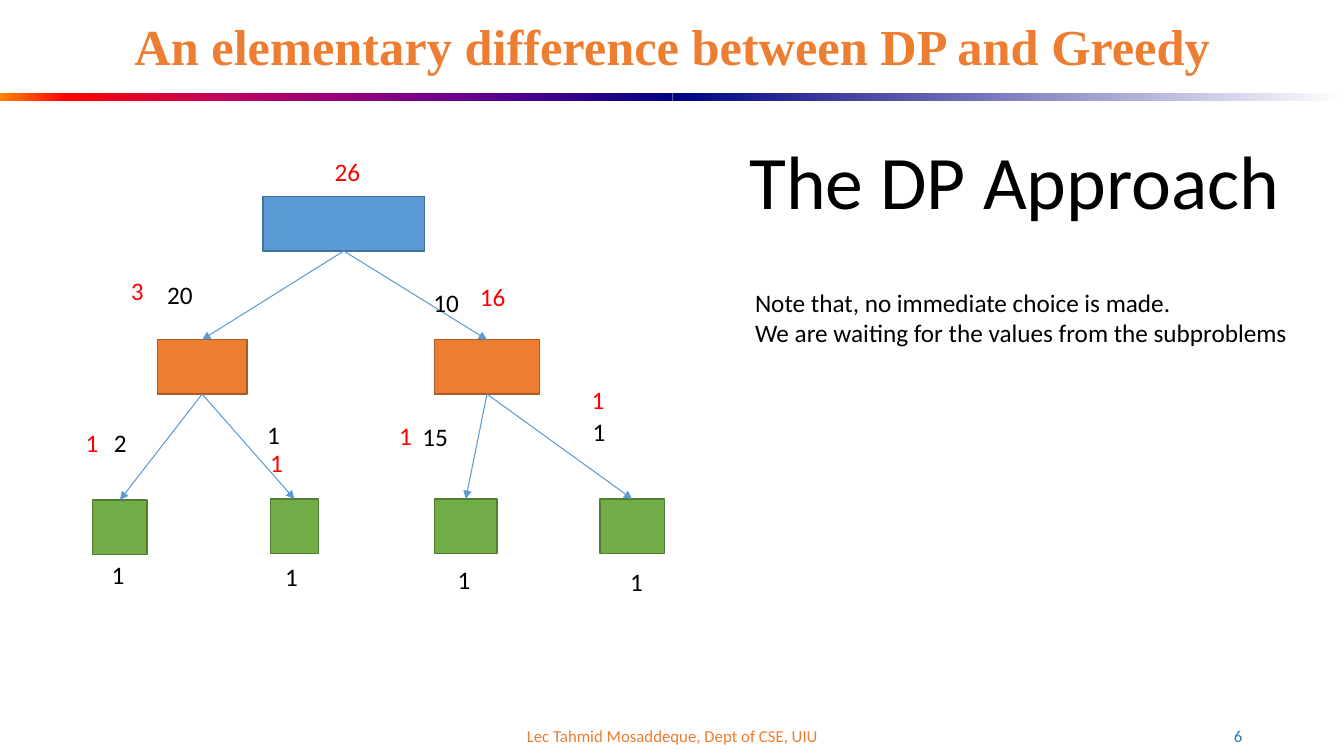
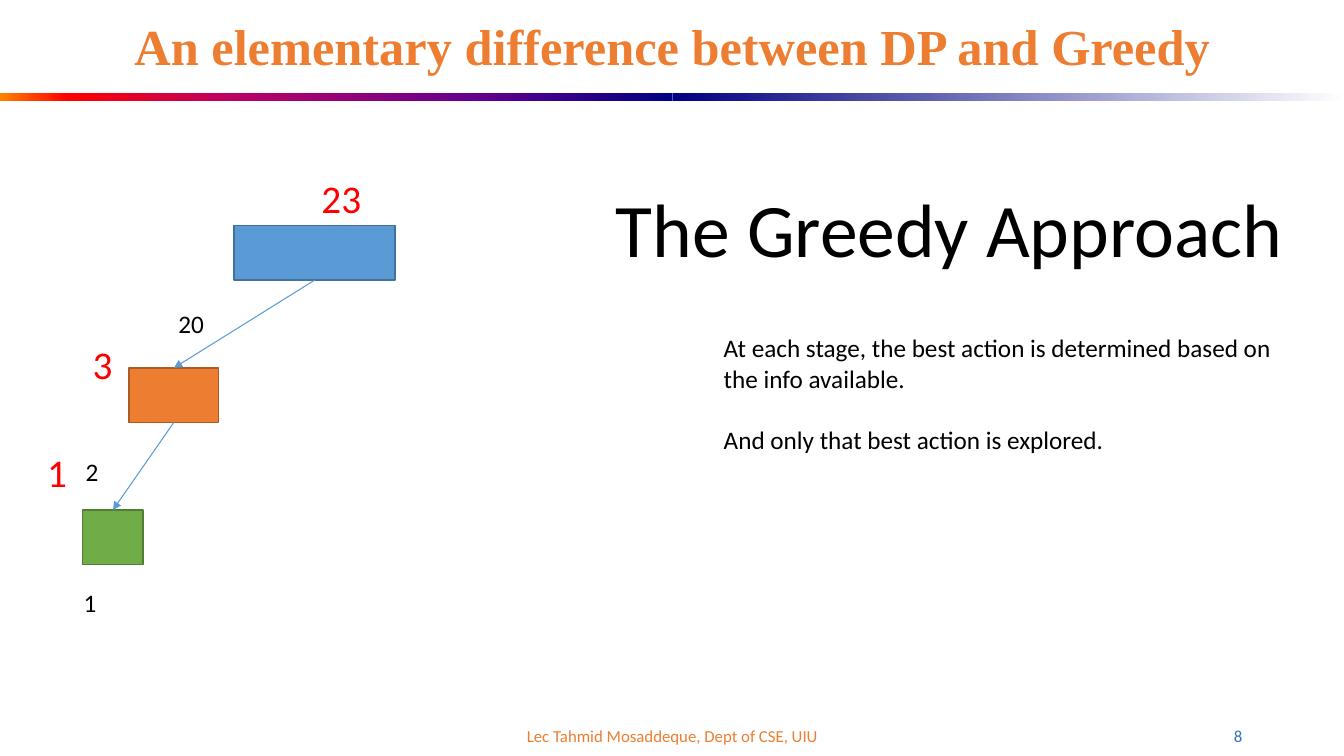
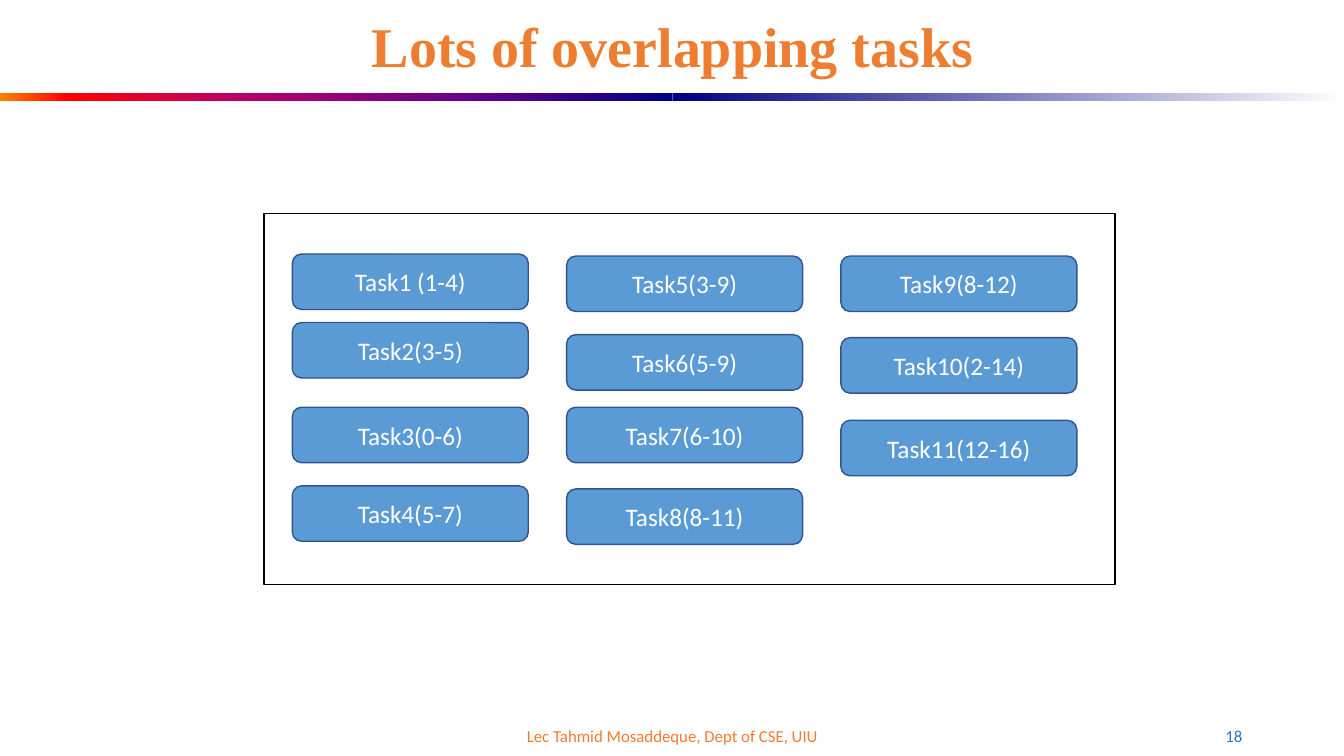
"""Build three slides that compare dynamic programming with greedy choices."""
from lxml import etree
from pptx import Presentation
from pptx.dml.color import RGBColor
from pptx.enum.shapes import MSO_CONNECTOR, MSO_SHAPE
from pptx.enum.text import MSO_ANCHOR, MSO_AUTO_SIZE, PP_ALIGN
from pptx.oxml.ns import qn
from pptx.util import Inches, Pt

RECTANGLE = MSO_SHAPE.RECTANGLE
ROUNDED = MSO_SHAPE.ROUNDED_RECTANGLE
STRAIGHT = MSO_CONNECTOR.STRAIGHT
TOP, MIDDLE = MSO_ANCHOR.TOP, MSO_ANCHOR.MIDDLE
LEFT, CENTER, RIGHT = PP_ALIGN.LEFT, PP_ALIGN.CENTER, PP_ALIGN.RIGHT
FIXED = MSO_AUTO_SIZE.NONE
BOTTOM_SIDE, TOP_SIDE = 2, 0


class Theme:
    body_font, title_font = "Calibri", "Times New Roman"
    black, white, red = "000000", "FFFFFF", "FF0000"
    blue, orange, green = "5B9BD5", "ED7D31", "70AD47"
    page_number, task_edge = "2E75B6", "31538F"
    node_edges = {blue: "42719B", orange: "AC5B23", green: "517E33"}
    warm_band = [(0, "FF8200"), (10, "FF0000"), (35, "BA0066"), (70, "66008F"), (100, "000082")]
    cool_band = [(0, "000082"), (100, "FFFFFF")]
    small, body, large, heading = 12, 18, 28, 54


def write_text(frame, lines, size=Theme.body, colour=Theme.black, font=Theme.body_font,
               align=LEFT, anchor=TOP, bold=False, wrap=True, spacing=1.0):
    frame_format = {"auto_size": FIXED, "word_wrap": wrap, "vertical_anchor": anchor}
    for name, value in frame_format.items():
        setattr(frame, name, value)
    for index, line in enumerate(lines):
        para = frame.add_paragraph() if index else frame.paragraphs[0]
        para.alignment, para.line_spacing = align, spacing
        span = para.add_run()
        span.text = line
        for name, value in {"name": font, "size": Pt(size), "bold": bold}.items():
            setattr(span.font, name, value)
        span.font.color.rgb = RGBColor.from_string(colour)


def add_box(page, kind, at, fill, edge):
    box = page.shapes.add_shape(kind, *map(Inches, at))
    box.shadow.inherit = False
    box.fill.solid()
    box.fill.fore_color.rgb = RGBColor.from_string(fill)
    box.line.color.rgb = RGBColor.from_string(edge)
    box.line.width = Pt(1)
    return box


deck = Presentation()
deck.slide_width, deck.slide_height = Inches(13.33), Inches(7.5)
layout = deck.slide_layouts[5]

comparison = "An elementary difference between DP and Greedy"
pages = []
for number, title_text, title_size in [(6, comparison, 36), (8, comparison, 36),
                                       (18, "Lots of overlapping tasks", 40)]:
    page = deck.slides.add_slide(layout)
    title = page.shapes.title
    title_place = {"left": 0.92, "top": 0.16, "width": 11.5, "height": 0.66}
    for name, value in title_place.items():
        setattr(title, name, Inches(value))
    write_text(title.text_frame, [title_text], title_size, Theme.orange, Theme.title_font,
               CENTER, MIDDLE, bold=True, spacing=0.9)
    number_box = page.shapes.add_textbox(*map(Inches, (9.42, 7.1, 3, 0.4)))
    write_text(number_box.text_frame, [str(number)], Theme.small, Theme.page_number,
               align=RIGHT, anchor=MIDDLE)
    pages.append(page)
dp_page, greedy_page, task_page = pages

shared = []
for left, stops in [(0, Theme.warm_band), (6.67, Theme.cool_band)]:
    band = dp_page.shapes.add_shape(RECTANGLE, *map(Inches, (left, 0.92, 6.67, 0.08)))
    band.shadow.inherit = False
    band.line.fill.background()
    band.fill.gradient()
    band.fill.gradient_angle = 0
    stop_list = band.element.spPr.find(qn("a:gradFill")).find(qn("a:gsLst"))
    for stop in list(stop_list):
        stop_list.remove(stop)
    for percent, colour in stops:
        stop = etree.SubElement(stop_list, qn("a:gs"), pos=str(percent * 1000))
        etree.SubElement(stop, qn("a:srgbClr"), val=colour)
    shared.append(band)
footer = dp_page.shapes.add_textbox(*map(Inches, (4.42, 7.1, 4.5, 0.4)))
write_text(footer.text_frame, ["Lec Tahmid Mosaddeque, Dept of CSE, UIU"], Theme.small,
           Theme.orange, align=CENTER, anchor=MIDDLE)
shared.append(footer)
for index, part in enumerate(shared):
    part.element.nvSpPr.cNvPr.set("id", str(101 + index))
    layout.shapes.element.append(part.element)

node_height = 0.54
trees = [
    (dp_page,
     {"root": (2.61, 1.95, 1.6, Theme.blue),
      "left": (1.56, 3.37, 0.89, Theme.orange),
      "right": (4.31, 3.37, 1.04, Theme.orange),
      "leaf 1": (0.92, 4.96, 0.54, Theme.green),
      "leaf 2": (2.68, 4.95, 0.48, Theme.green),
      "leaf 3": (4.31, 4.95, 0.62, Theme.green),
      "leaf 4": (5.95, 4.95, 0.64, Theme.green)},
     [("root", "right"), ("root", "left"), ("left", "leaf 2"), ("left", "leaf 1"),
      ("right", "leaf 4"), ("right", "leaf 3")],
     [("10", 4.2, 2.8), ("20", 1.56, 2.72), ("2", 1.03, 4.19), ("1", 2.55, 4.11),
      ("1", 1.01, 5.5), ("1", 2.73, 5.52), ("1", 4.44, 5.55), ("1", 6.15, 5.57),
      ("15", 4.09, 4.13), ("1", 5.78, 4.08)],
     [("1", 0.75, 4.19), ("1", 2.58, 4.39), ("1", 3.86, 4.12), ("1", 5.77, 3.76),
      ("3", 1.2, 2.68), ("16", 4.66, 2.74), ("26", 3.22, 1.5)],
     Theme.body),
    (greedy_page,
     {"root": (2.32, 2.24, 1.6, Theme.blue),
      "left": (1.28, 3.65, 0.89, Theme.orange),
      "leaf 1": (0.82, 5.06, 0.6, Theme.green)},
     [("root", "left"), ("left", "leaf 1")],
     [("20", 1.67, 3.01), ("2", 0.75, 4.48), ("1", 0.73, 5.78)],
     [("1", 0.37, 4.4), ("3", 0.82, 3.33), ("23", 3.09, 1.68)],
     Theme.large),
]
for page, nodes, edges, costs, totals, total_size in trees:
    boxes = {name: add_box(page, RECTANGLE, (left, top, width, node_height), fill,
                           Theme.node_edges[fill])
             for name, (left, top, width, fill) in nodes.items()}
    for parent, child in edges:
        arrow = page.shapes.add_connector(STRAIGHT, 0, 0, 0, 0)
        arrow.begin_connect(boxes[parent], BOTTOM_SIDE)
        arrow.end_connect(boxes[child], TOP_SIDE)
        arrow.line.color.rgb = RGBColor.from_string(Theme.blue)
        arrow.line.width = Pt(0.75)
        properties = arrow.element.spPr
        etree.SubElement(properties.find(qn("a:ln")), qn("a:tailEnd"), type="triangle")
        etree.SubElement(properties, qn("a:effectLst"))
    for labels, size, colour in [(costs, Theme.body, Theme.black),
                                 (totals, total_size, Theme.red)]:
        width, height = (0.68, 0.57) if size == Theme.large else (0.49, 0.4)
        for text, left, top in labels:
            label = page.shapes.add_textbox(*map(Inches, (left, top, width, height)))
            write_text(label.text_frame, [text], size, colour)

approaches = [
    (dp_page, "The DP Approach", (7.3, 1.28, 5.52, 1.01), (7.39, 2.8, 5.54, 0.71),
     ["Note that, no immediate choice is made.",
      "We are waiting for the values from the subproblems"]),
    (greedy_page, "The Greedy Approach", (5.97, 1.76, 6.89, 1.01), (7.08, 3.25, 5.7, 1.31),
     ["At each stage, the best action is determined based on",
      "the info available.",
      "And only that best action is explored."]),
]
for page, heading_text, heading_at, note_at, lines in approaches:
    heading = page.shapes.add_textbox(*map(Inches, heading_at))
    write_text(heading.text_frame, [heading_text], Theme.heading, align=CENTER, wrap=False)
    note = page.shapes.add_textbox(*map(Inches, note_at))
    write_text(note.text_frame, lines)
    for para in note.text_frame.paragraphs[2:]:
        para.space_before = Pt(22)

add_box(task_page, RECTANGLE, (2.62, 2.12, 8.44, 3.68), Theme.white, Theme.black)
task_columns = [
    [("Task1 (1-4)", 2.52), ("Task2(3-5)", 3.2), ("Task3(0-6)", 4.04), ("Task4(5-7)", 4.82)],
    [("Task5(3-9)", 2.54), ("Task6(5-9)", 3.32), ("Task7(6-10)", 4.04), ("Task8(8-11)", 4.85)],
    [("Task9(8-12)", 2.54), ("Task10(2-14)", 3.35), ("Task11(12-16)", 4.17)],
]
for column, tasks in enumerate(task_columns):
    for text, top in tasks:
        task = add_box(task_page, ROUNDED, (2.9 + 2.72 * column, top, 2.34, 0.55),
                       Theme.blue, Theme.task_edge)
        write_text(task.text_frame, [text], colour=Theme.white, align=CENTER, anchor=MIDDLE)

deck.save("out.pptx")
